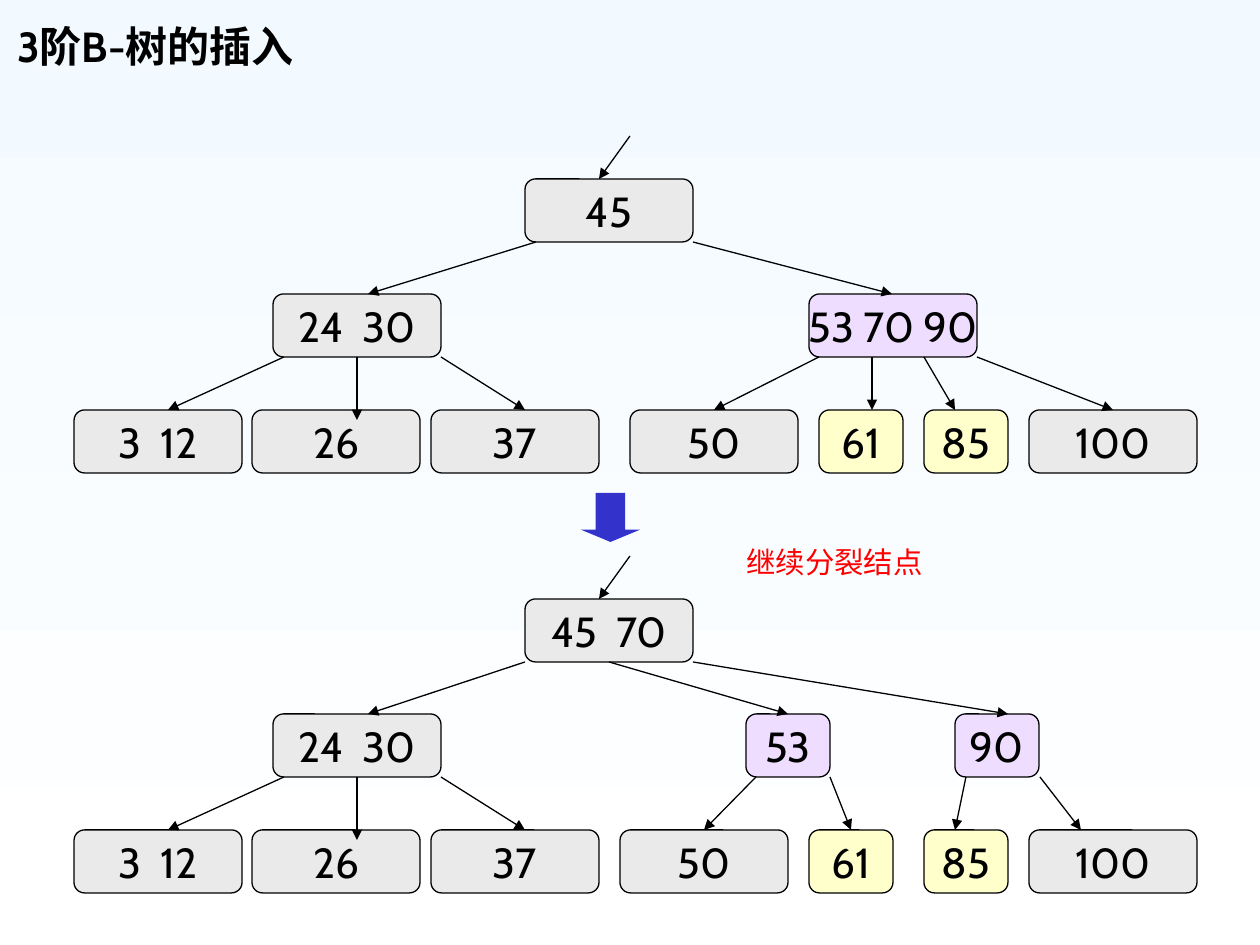
from dataclasses import dataclass

from lxml import etree
from pptx import Presentation
from pptx.dml.color import RGBColor
from pptx.enum.shapes import MSO_CONNECTOR, MSO_SHAPE
from pptx.enum.text import MSO_ANCHOR, PP_ALIGN
from pptx.oxml.ns import qn
from pptx.util import Pt

ROUNDED = MSO_SHAPE.ROUNDED_RECTANGLE
DOWN_ARROW = MSO_SHAPE.DOWN_ARROW
STRAIGHT = MSO_CONNECTOR.STRAIGHT
TOP, MIDDLE, BOTTOM = MSO_ANCHOR.TOP, MSO_ANCHOR.MIDDLE, MSO_ANCHOR.BOTTOM
LEFT, CENTER = PP_ALIGN.LEFT, PP_ALIGN.CENTER


@dataclass(frozen=True)
class Theme:
    font: str = "Cabin"
    ink: str = "000000"
    note: str = "FF0000"
    settled: str = "EAEAEA"
    splitting: str = "EEDDFF"
    fresh: str = "FFFFCC"
    step: str = "3333CC"
    sky: str = "F3FAFF"
    ground: str = "FFFFFF"
    key_size: float = 24
    note_size: float = 16.8
    outline: float = 0.75


THEME = Theme()
EMU_PER_PX = 914400 // 126
SLIDE_SIZE = (1260, 945)
ROOT, INNER, LEAF = 179, 294, 410
NODE_HEIGHT = 63
WIDE, NARROW = 168, 84
TREE_PITCH = 420

SHARED_NODES = [
    ("24  30", 273, INNER, WIDE, THEME.settled),
    ("3  12", 74, LEAF, WIDE, THEME.settled),
    ("26", 252, LEAF, WIDE, THEME.settled),
    ("37", 431, LEAF, WIDE, THEME.settled),
    ("85", 924, LEAF, NARROW, THEME.fresh),
    ("100", 1029, LEAF, WIDE, THEME.settled),
]
SHARED_LINKS = [(284, INNER, 168), (441, INNER, 525)]

BEFORE_NODES = [
    ("45", 525, ROOT, WIDE, THEME.settled),
    ("53 70 90", 809, INNER, WIDE, THEME.splitting),
    ("50", 630, LEAF, WIDE, THEME.settled),
    ("61", 819, LEAF, NARROW, THEME.fresh),
]
BEFORE_LINKS = [
    (536, ROOT, 368), (693, ROOT, 892),
    (819, INNER, 714), (872, INNER, 872), (924, INNER, 955), (977, INNER, 1113),
]

AFTER_NODES = [
    ("45  70", 525, ROOT, WIDE, THEME.settled),
    ("53", 746, INNER, NARROW, THEME.splitting),
    ("90", 955, INNER, NARROW, THEME.splitting),
    ("50", 620, LEAF, WIDE, THEME.settled),
    ("61", 809, LEAF, NARROW, THEME.fresh),
]
AFTER_LINKS = [
    (525, ROOT, 368), (609, ROOT, 788), (693, ROOT, 1008),
    (756, INNER, 704), (830, INNER, 851), (966, INNER, 955), (1040, INNER, 1081),
]


def px(*lengths):
    return [length * EMU_PER_PX for length in lengths]


def rgb(value):
    return RGBColor.from_string(value)


def write(frame, text, size, color, align, anchor, bold=False):
    frame.vertical_anchor = anchor
    paragraph = frame.paragraphs[0]
    paragraph.alignment = align
    run = paragraph.add_run()
    run.text = text
    run.font.name = THEME.font
    run.font.size = Pt(size)
    run.font.bold = bold
    run.font.color.rgb = rgb(color)


def add_label(slide, box, text, size, color, align, anchor, bold=False):
    frame = slide.shapes.add_textbox(*px(*box)).text_frame
    frame.word_wrap = True
    write(frame, text, size, color, align, anchor, bold)


def add_node(slide, keys, left, top, width, fill):
    node = slide.shapes.add_shape(ROUNDED, *px(left, top, width, NODE_HEIGHT))
    node.shadow.inherit = False
    node.fill.solid()
    node.fill.fore_color.rgb = rgb(fill)
    node.line.color.rgb = rgb(THEME.ink)
    node.line.width = Pt(THEME.outline)
    node.text_frame.word_wrap = False
    write(node.text_frame, keys, THEME.key_size, THEME.ink, CENTER, MIDDLE)


def add_pointer(slide, start, end):
    pointer = slide.shapes.add_connector(STRAIGHT, *px(*start, *end))
    pointer.line.color.rgb = rgb(THEME.ink)
    pointer.line.width = Pt(THEME.outline)
    etree.SubElement(pointer.get_or_add_ln(), qn("a:tailEnd"), type="triangle")
    etree.SubElement(pointer._element.spPr, qn("a:effectLst"))


def add_tree(slide, nodes, links, drop):
    for keys, left, level, width, fill in SHARED_NODES + nodes:
        add_node(slide, keys, left, level + drop, width, fill)
    add_pointer(slide, (630, 136 + drop), (599, ROOT + drop))
    child_level = {ROOT: INNER, INNER: LEAF}
    for start, level, end in SHARED_LINKS + links:
        add_pointer(slide, (start, level + NODE_HEIGHT + drop),
                    (end, child_level[level] + drop))
    add_pointer(slide, (357, INNER + NODE_HEIGHT + drop), (357, LEAF + 10 + drop))


def add_step_arrow(slide):
    arrow = slide.shapes.add_shape(DOWN_ARROW, *px(581, 493, 59, 49))
    arrow.adjustments[1] = 0.25
    arrow.shadow.inherit = False
    arrow.fill.solid()
    arrow.fill.fore_color.rgb = rgb(THEME.step)
    arrow.line.fill.background()


def paint_background(slide):
    fill = slide.background.fill
    fill.gradient()
    fill.gradient_angle = 270
    for stop, color in zip(fill.gradient_stops, (THEME.sky, THEME.ground)):
        stop.color.rgb = rgb(color)


def main():
    deck = Presentation()
    deck.slide_width, deck.slide_height = px(*SLIDE_SIZE)
    slide = deck.slides.add_slide(deck.slide_layouts[6])
    paint_background(slide)
    add_label(slide, (5, 6, 1074, 71), "3阶B-树的插入",
              THEME.key_size, THEME.ink, LEFT, BOTTOM, bold=True)
    add_tree(slide, BEFORE_NODES, BEFORE_LINKS, 0)
    add_tree(slide, AFTER_NODES, AFTER_LINKS, TREE_PITCH)
    add_label(slide, (675, 538, 319, 53), "继续分裂结点",
              THEME.note_size, THEME.note, CENTER, TOP)
    add_step_arrow(slide)
    deck.save("out.pptx")


if __name__ == "__main__":
    main()
